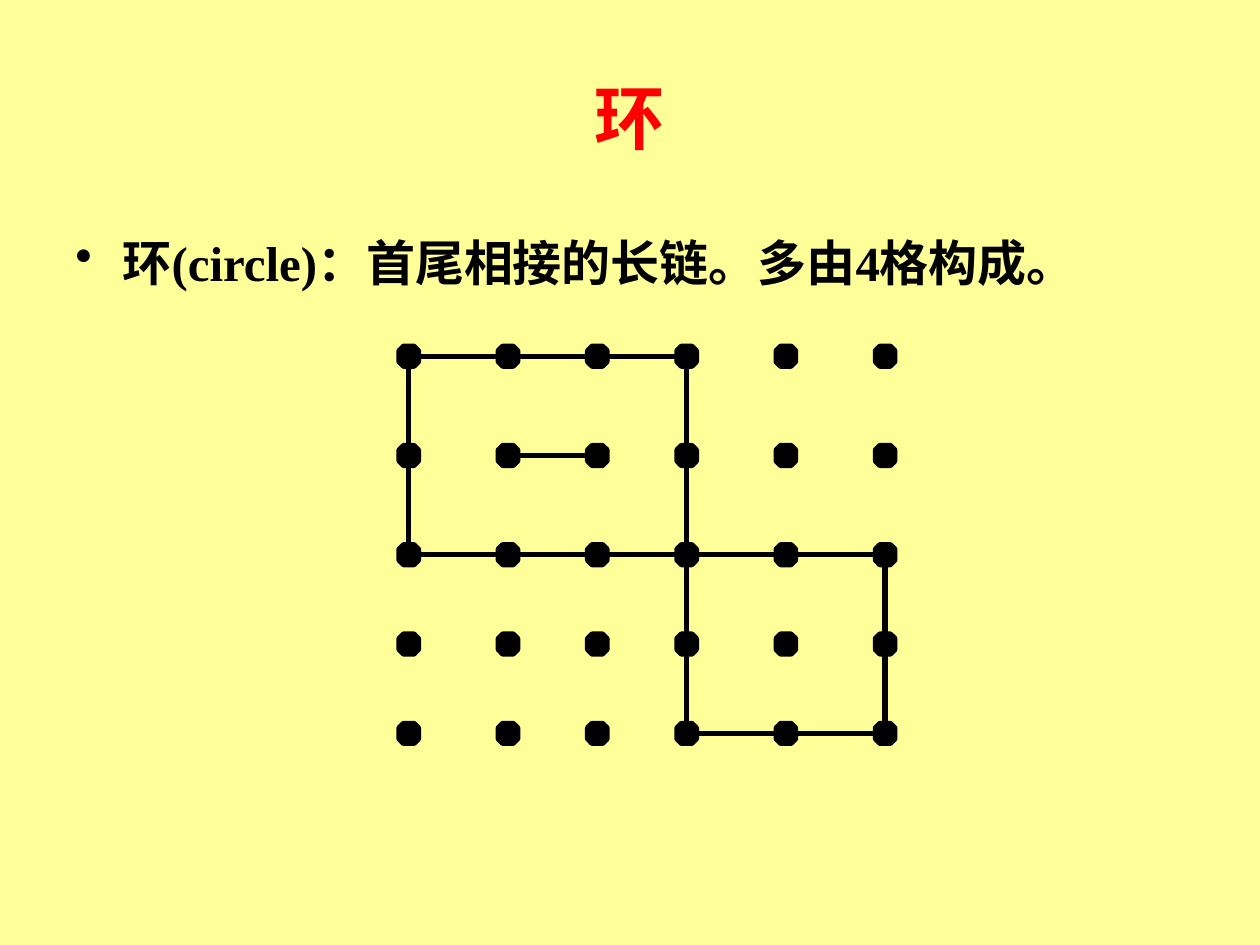
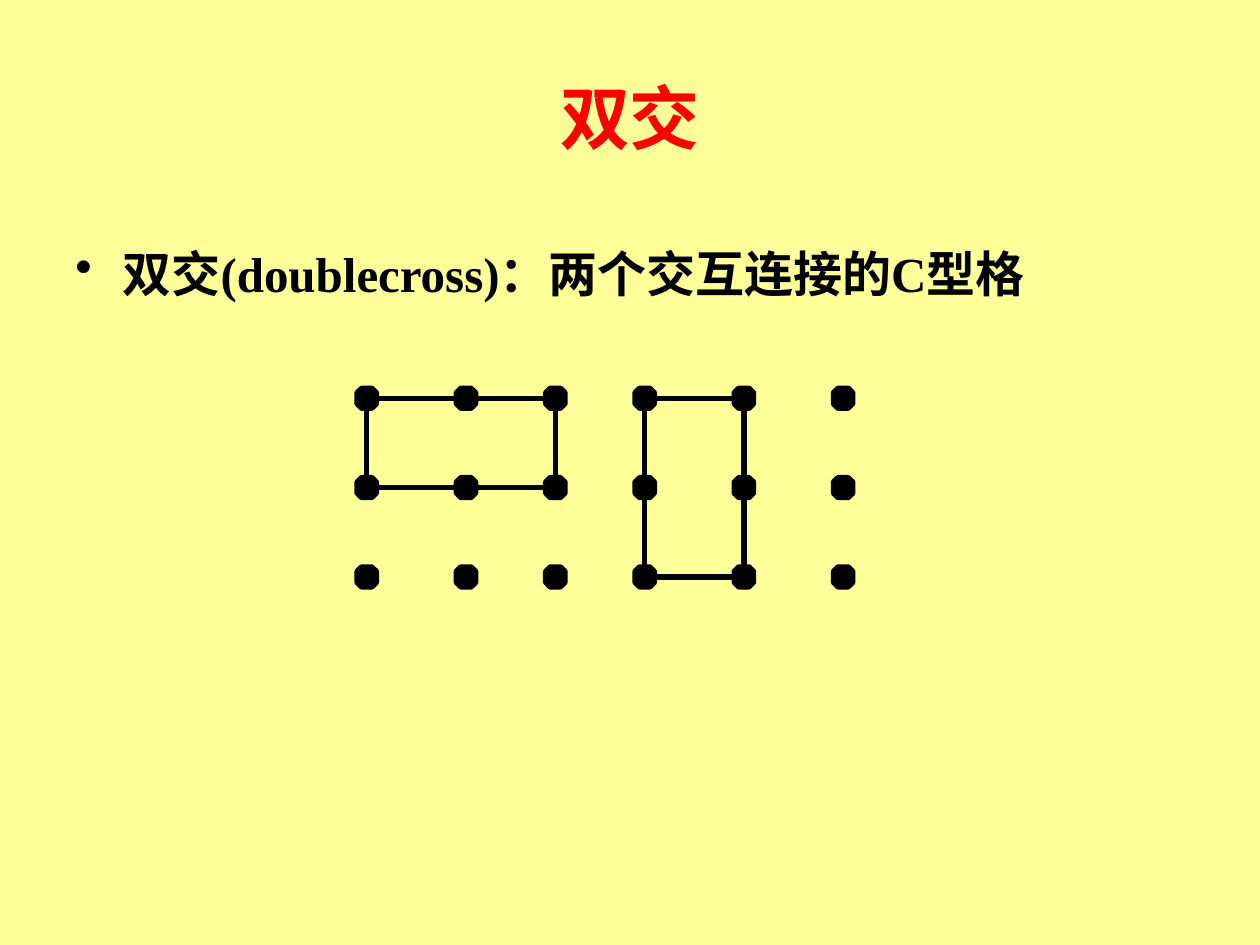
from itertools import accumulate, product

from lxml import etree
from pptx import Presentation
from pptx.dml.color import RGBColor
from pptx.enum import shapes, text
from pptx.oxml import ns
from pptx.util import Pt

COLORS = {"background": "FFFF99", "title": "FF0000", "ink": "000000"}
TITLE_FONT, BODY_FONT = "Arial", "Times New Roman"
LINE_WIDTH = 3
DOT_WIDTH, DOT_HEIGHT = 11.1, 11.4
WIDE, NARROW = 56.7, 51.05
COLUMN_GAPS = [WIDE, NARROW, NARROW, WIDE, WIDE]


def color(name):
    return RGBColor.from_string(COLORS[name])


def add_slide(presentation):
    slide = presentation.slides.add_slide(presentation.slide_layouts[6])
    slide.background.fill.solid()
    slide.background.fill.fore_color.rgb = color("background")
    return slide


def add_text(slide, content, top, height, size, font_name, color_name):
    """Add a bold one-paragraph box and return its text frame."""
    box = slide.shapes.add_textbox(Pt(36), Pt(top), Pt(648), Pt(height))
    frame = box.text_frame
    frame.word_wrap = True
    frame.text = content
    font = frame.paragraphs[0].runs[0].font
    font.name, font.size, font.bold = font_name, Pt(size), True
    font.color.rgb = color(color_name)
    return frame


def add_title(slide, content):
    frame = add_text(slide, content, 21.6, 90, 40, TITLE_FONT, "title")
    frame.vertical_anchor = text.MSO_ANCHOR.MIDDLE
    frame.paragraphs[0].alignment = text.PP_ALIGN.CENTER


def add_bullet(slide, content, top, height):
    frame = add_text(slide, content, top, height, 28, BODY_FONT, "ink")
    paragraph = frame.paragraphs[0]
    paragraph.line_spacing = 1.1
    properties = paragraph._p.get_or_add_pPr()
    properties.set("marL", str(Pt(27)))
    properties.set("indent", str(Pt(-27)))
    bullet_color = etree.SubElement(properties, ns.qn("a:buClr"))
    etree.SubElement(bullet_color, ns.qn("a:srgbClr"), val=COLORS["ink"])
    etree.SubElement(properties, ns.qn("a:buChar"), char="•")


def style_line(line):
    line.color.rgb = color("ink")
    line.width = Pt(LINE_WIDTH)


def add_dot(group, x, y):
    dot = group.shapes.add_shape(
        shapes.MSO_SHAPE.OCTAGON,
        Pt(x - DOT_WIDTH / 2), Pt(y - DOT_HEIGHT / 2), Pt(DOT_WIDTH), Pt(DOT_HEIGHT))
    dot.adjustments[0] = 0.23
    dot.shadow.inherit = False
    dot.fill.solid()
    dot.fill.fore_color.rgb = color("ink")
    style_line(dot.line)


def add_edge(group, start, end):
    edge = group.shapes.add_connector(
        shapes.MSO_CONNECTOR.STRAIGHT, *(Pt(value) for value in (*start, *end)))
    style_line(edge.line)
    etree.SubElement(edge._element.spPr, ns.qn("a:effectLst"))


def rectangle(left, top, right, bottom):
    """List the four edges of a rectangle as pairs of (column, row)."""
    return [
        ((left, top), (right, top)), ((left, bottom), (right, bottom)),
        ((left, top), (left, bottom)), ((right, top), (right, bottom)),
    ]


def add_board(slide, left, top, row_gaps, edges):
    """Draw the dots from the first dot's centre, then edges between dots."""
    columns = list(accumulate(COLUMN_GAPS, initial=left))
    rows = list(accumulate(row_gaps, initial=top))
    group = slide.shapes.add_group_shape()
    for y, x in product(rows, columns):
        add_dot(group, x, y)
    for edge in edges:
        add_edge(group, *((columns[column], rows[row]) for column, row in edge))


def main():
    presentation = Presentation()
    presentation.slide_width, presentation.slide_height = Pt(720), Pt(540)

    circle = add_slide(presentation)
    add_title(circle, "环")
    add_bullet(circle, "环(circle)：首尾相接的长链。多由4格构成。", 126, 356.4)
    add_board(circle, 233.6, 203.6, [WIDE, WIDE, NARROW, NARROW],
              rectangle(3, 2, 5, 4) + rectangle(0, 0, 3, 2) + [((1, 1), (2, 1))])

    doublecross = add_slide(presentation)
    add_title(doublecross, "双交")
    add_bullet(doublecross, "双交(doublecross)：两个交互连接的C型格", 132, 323.3)
    add_board(doublecross, 209.6, 227.6, [NARROW, NARROW],
              rectangle(0, 0, 2, 1) + rectangle(3, 0, 4, 2))

    presentation.save("out.pptx")


if __name__ == "__main__":
    main()
